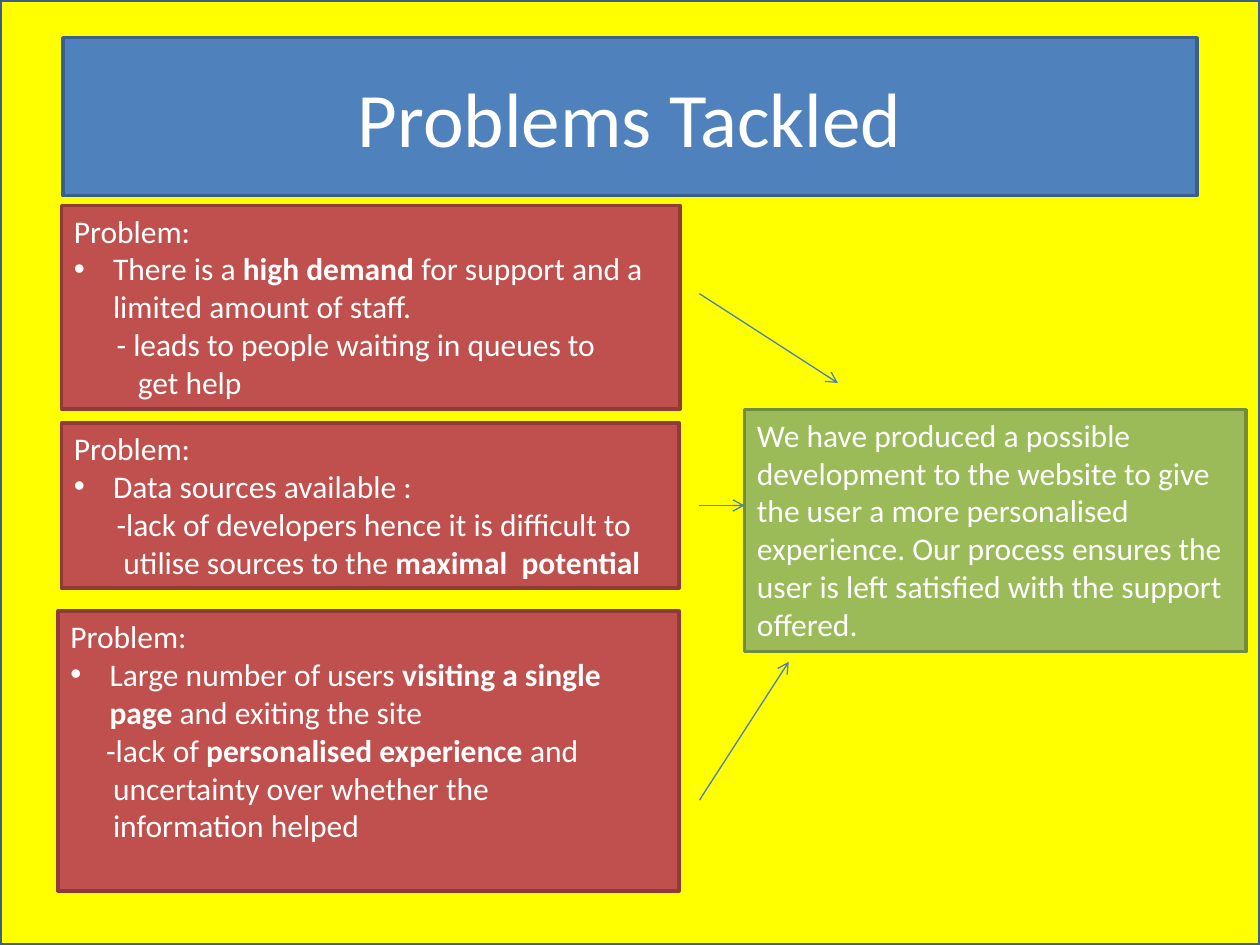
"""Build the slide of problems tackled and the answer to them."""
from lxml.etree import SubElement as Sub
from pptx import Presentation
from pptx.dml.color import RGBColor as Rgb
from pptx.enum.shapes import MSO_CONNECTOR as Link, MSO_SHAPE as Form
from pptx.enum.text import MSO_ANCHOR as Anchor, PP_ALIGN as Align
from pptx.oxml.ns import qn
from pptx.util import Cm, Pt

WIDE, HIGH = 25.4, 19.05
BLUE, RED, GREEN = ("4F81BD", "3A5F8C"), ("C0504D", "8E3B39"), ("9BBB59", "738A42")
YELLOW, WHITE, ARROW = ("FFFF00", "3A5F8C"), "FFFFFF", "4B7EBC"
BULLET = 0.79

TITLE = "Problems Tackled"
ANSWER = (
    "We have produced a possible development to the website to give the user "
    "a more personalised experience. Our process ensures the user is left "
    "satisfied with the support offered."
)
PROBLEMS = [
    ((1.24, 4.14, 12.47, 4.11),
     "There is a *high demand *for support and a limited amount of staff.",
     [(0.86, "- leads to people waiting in queues to"), (1.29, "get help")]),
    ((1.24, 8.53, 12.45, 3.33),
     "Data sources available :",
     [(0.86, "-lack of developers hence it is difficult to"),
      (1.0, "utilise sources to the *maximal  potential")]),
    ((1.17, 12.32, 12.52, 5.64),
     "Large number of users *visiting a single page *and exiting the site",
     [(0.72, "-lack of *personalised experience *and"),
      (0.86, "uncertainty over whether the"),
      (0.86, "information helped")]),
]
ARROWS = [
    (14.1, 5.92, 16.89, 7.72),
    (14.1, 10.19, 15.01, 10.19),
    (14.1, 16.13, 15.9, 13.34),
]
BODY = {"size": Pt(18), "name": "Calibri"}
HEAD = {**BODY, "size": Pt(44)}


def tint(part, code):
    part.rgb = Rgb.from_string(code)


def apply(item, form):
    for key, value in form.items():
        setattr(item, key, value)


def add_box(page, place, hues):
    box = page.shapes.add_shape(Form.RECTANGLE, *map(Cm, place))
    box.shadow.inherit = False
    box.fill.solid()
    tint(box.fill.fore_color, hues[0])
    tint(box.line.color, hues[1])
    box.line.width = Pt(2)
    apply(box.text_frame, {"word_wrap": True, "vertical_anchor": Anchor.TOP})
    return box


def write(para, text, form=BODY, align=Align.LEFT, left=0, dot=False):
    para.alignment = align
    props = para._p.get_or_add_pPr()
    props.set("marL", str(Cm(left)))
    props.set("indent", str(-Cm(left) if dot else 0))
    if dot:
        Sub(props, qn("a:buFont"), typeface="Arial")
        Sub(props, qn("a:buChar"), char="•")
    for turn, piece in enumerate(text.split("*")):
        run = para.add_run()
        run.text = piece
        apply(run.font, {**form, "bold": turn % 2 == 1})
        tint(run.font.color, WHITE)


def add_arrow(page, ends):
    line = page.shapes.add_connector(Link.STRAIGHT, *map(Cm, ends))
    tint(line.line.color, ARROW)
    line.line.width = Pt(0.75)
    Sub(line.line._get_or_add_ln(), qn("a:tailEnd"), type="arrow")
    Sub(line._element.spPr, qn("a:effectLst"))


def main():
    deck = Presentation()
    apply(deck, {"slide_width": Cm(WIDE), "slide_height": Cm(HIGH)})
    page = deck.slides.add_slide(deck.slide_layouts[6])
    add_box(page, (0, 0, WIDE, HIGH), YELLOW)

    frame = add_box(page, (1.27, 0.76, 22.86, 3.18), BLUE).text_frame
    frame.vertical_anchor = Anchor.MIDDLE
    write(frame.paragraphs[0], TITLE, HEAD, Align.CENTER)

    for place, point, notes in PROBLEMS:
        frame = add_box(page, place, RED).text_frame
        write(frame.paragraphs[0], "Problem:")
        write(frame.add_paragraph(), point, left=BULLET, dot=True)
        for left, note in notes:
            write(frame.add_paragraph(), note, left=left)

    frame = add_box(page, (15.01, 8.26, 10.11, 4.88), GREEN).text_frame
    write(frame.paragraphs[0], ANSWER)
    for ends in ARROWS:
        add_arrow(page, ends)
    deck.save("out.pptx")


if __name__ == "__main__":
    main()
